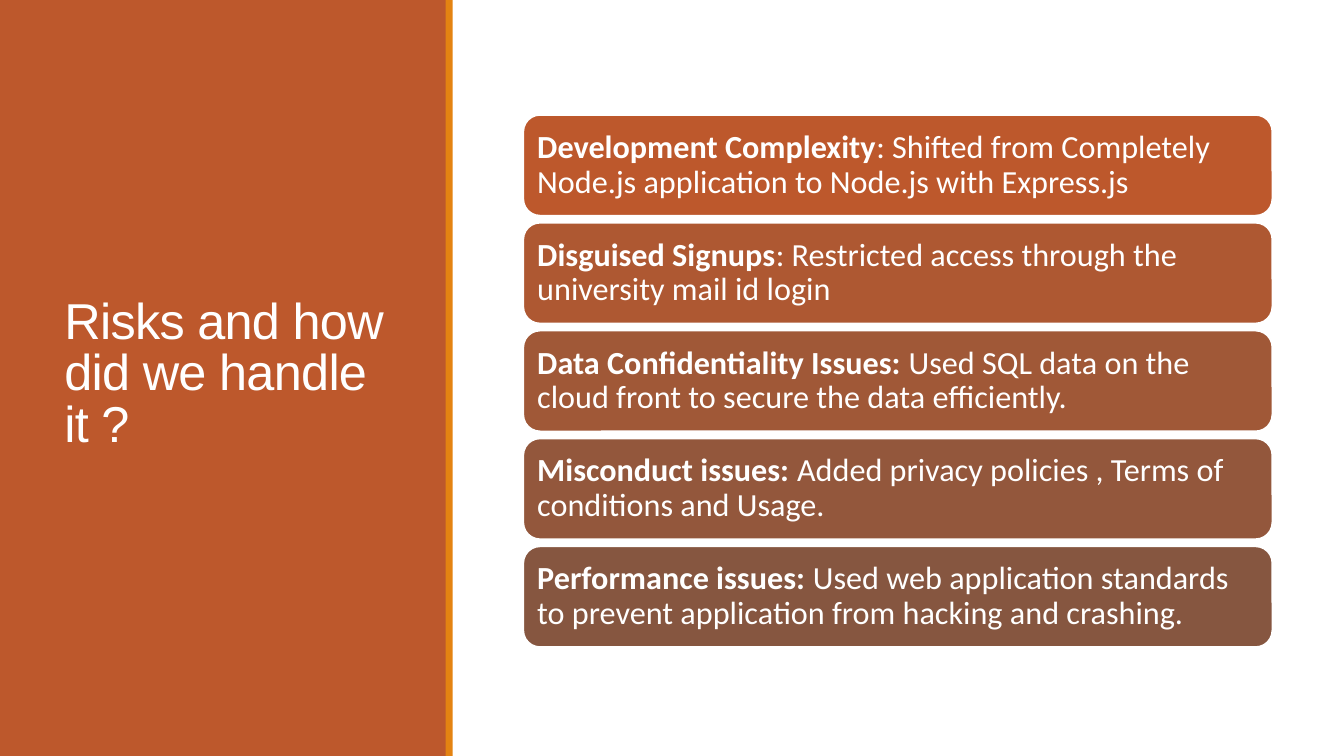
"""Build the slide on project risks and how each was handled."""
from pptx import Presentation
from pptx.dml.color import RGBColor
from pptx.enum.shapes import MSO_SHAPE
from pptx.enum.text import MSO_ANCHOR, PP_ALIGN
from pptx.util import Inches, Pt

HEADING = "Risks and how did we handle it ?"
RISKS = [
    ("Development Complexity", ": Shifted from Completely Node.js application to Node.js with Express.js", "BD582C"),
    ("Disguised Signups", ": Restricted access through the university mail id login", "AE5832"),
    ("Data Confidentiality Issues:", " Used SQL data on the cloud front to secure the data efficiently.", "A05837"),
    ("Misconduct issues:", " Added privacy policies , Terms of conditions and Usage.", "93573C"),
    ("Performance issues:", " Used web application standards to prevent application from hacking and crashing.", "865640"),
]
COLORS = {"panel": "BD582C", "stripe": "E48312", "white": "FFFFFF"}
WIDTH, HEIGHT = 13.33, 7.5
PANEL_WIDTH, STRIPE_LEFT, STRIPE_WIDTH = 4.43, 4.42, 0.07
CARD_LEFT, CARD_TOP, CARD_WIDTH, CARD_HEIGHT, CARD_PITCH = 5.19, 1.14, 7.43, 1, 1.07


def rgb(color):
    return RGBColor.from_string(color)


def add_block(slide, kind, left, top, width, height, color):
    block = slide.shapes.add_shape(kind, Inches(left), Inches(top), Inches(width), Inches(height))
    block.shadow.inherit = False
    block.fill.solid()
    block.fill.fore_color.rgb = rgb(color)
    block.line.fill.background()
    return block


def prepare_text(frame, font_name, size, line_spacing, side, edge):
    frame.word_wrap = True
    frame.vertical_anchor = MSO_ANCHOR.MIDDLE
    frame.margin_left = frame.margin_right = Inches(side)
    frame.margin_top = frame.margin_bottom = Inches(edge)
    paragraph = frame.paragraphs[0]
    paragraph.alignment = PP_ALIGN.LEFT
    paragraph.line_spacing = line_spacing
    paragraph.font.name = font_name
    paragraph.font.size = Pt(size)
    paragraph.font.color.rgb = rgb(COLORS["white"])
    return paragraph


def add_heading(slide):
    heading = slide.shapes.add_textbox(Inches(0.54), Inches(0.57), Inches(3.37), Inches(6.31))
    paragraph = prepare_text(heading.text_frame, "Arial", 36, 0.85, 0.1, 0.05)
    run = paragraph.add_run()
    run.text = HEADING
    run.font._element.set("spc", "-50")


def add_card(slide, row, name, response, color):
    card = add_block(slide, MSO_SHAPE.ROUNDED_RECTANGLE, CARD_LEFT, CARD_TOP + row * CARD_PITCH,
                     CARD_WIDTH, CARD_HEIGHT, color)
    card.line.color.rgb = rgb(COLORS["white"])
    card.line.width = Pt(1.25)
    paragraph = prepare_text(card.text_frame, "Calibri", 23, 0.9, 0.09, 0.09)
    for text, bold in ((name, True), (response, False)):
        run = paragraph.add_run()
        run.text = text
        run.font.bold = bold


def main():
    deck = Presentation()
    deck.slide_width, deck.slide_height = Inches(WIDTH), Inches(HEIGHT)
    slide = deck.slides.add_slide(deck.slide_layouts[6])
    add_block(slide, MSO_SHAPE.RECTANGLE, 0, 0, PANEL_WIDTH, HEIGHT, COLORS["panel"])
    add_heading(slide)
    add_block(slide, MSO_SHAPE.RECTANGLE, STRIPE_LEFT, 0, STRIPE_WIDTH, HEIGHT, COLORS["stripe"])
    for row, risk in enumerate(RISKS):
        add_card(slide, row, *risk)
    deck.save("out.pptx")


if __name__ == "__main__":
    main()
